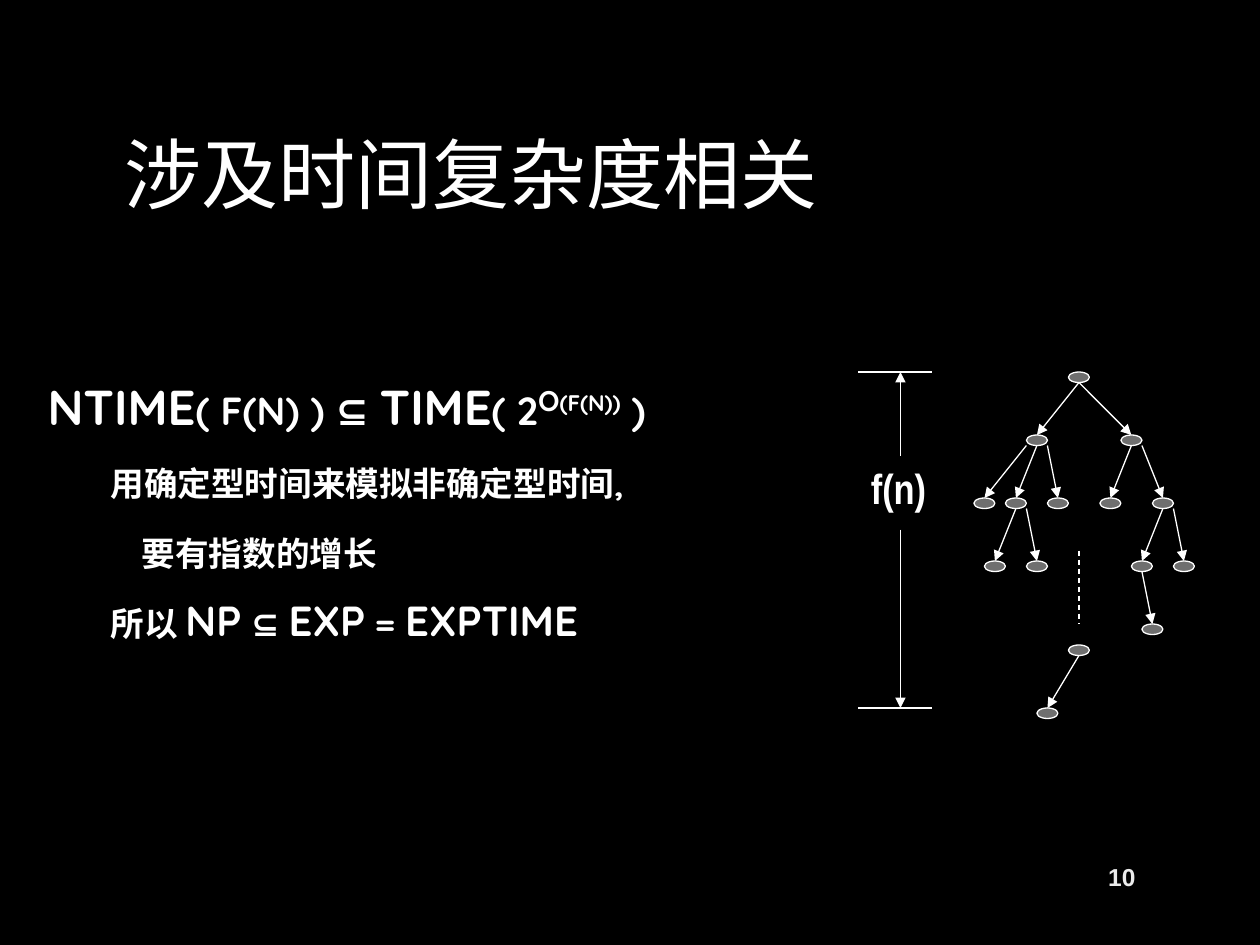
from lxml.etree import SubElement
from pptx import Presentation
from pptx.dml.color import RGBColor
from pptx.enum.dml import MSO_LINE
from pptx.enum.shapes import MSO_CONNECTOR, MSO_SHAPE
from pptx.enum.text import MSO_ANCHOR, PP_ALIGN
from pptx.oxml.ns import qn
from pptx.util import Cm, Pt

COLORS = {"background": "000000", "text": "FFFFFF", "line": "FFFFFF",
          "node": "6F6F6F", "number": "EBEBEB"}

# The tree lies on a grid of 1/12 inch, counted from the top of its root.
STEP = 2.54 / 12
ROOT_X, ROOT_Y = 21.75, 7.5

# (column, row) of each node
NODES = [(0, 0), (-4, 6), (5, 6),
         (-9, 12), (-6, 12), (-2, 12), (3, 12), (8, 12),
         (-8, 18), (-4, 18), (6, 18), (10, 18), (7, 24),
         (0, 26), (-3, 32)]
# (parent, child, columns from the parent's middle where the arrow starts)
BRANCHES = [((0, 0), (-4, 6), 0), ((0, 0), (5, 6), 0),
            ((-4, 6), (-9, 12), -1), ((-4, 6), (-6, 12), 0), ((-4, 6), (-2, 12), 1),
            ((5, 6), (3, 12), 0), ((5, 6), (8, 12), 1),
            ((-6, 12), (-8, 18), 0), ((-6, 12), (-4, 18), 1),
            ((8, 12), (6, 18), 0), ((8, 12), (10, 18), 1),
            ((6, 18), (7, 24), 0), ((0, 26), (-3, 32), 0)]


def grid(column, row):
    """Turn grid steps into a point on the slide in centimetres."""
    return ROOT_X + column * STEP, ROOT_Y + row * STEP


class SlideWriter:
    def __init__(self, slide):
        self.slide = slide
        self.line_width = Pt(0.75)
        background = slide.background.fill
        background.solid()
        background.fore_color.rgb = self.color("background")

    def color(self, name):
        return RGBColor.from_string(COLORS[name])

    def text(self, left, top, width, height, lines, size, font="Quicksand",
             color="text", bold=True, align=PP_ALIGN.LEFT):
        box = self.slide.shapes.add_textbox(Cm(left), Cm(top), Cm(width), Cm(height))
        frame = box.text_frame
        frame.word_wrap = True
        frame.vertical_anchor = MSO_ANCHOR.MIDDLE
        frame.text = "\n".join(lines)
        for paragraph in frame.paragraphs:
            paragraph.alignment = align
            for run in paragraph.runs:
                self.format_run(run, size, font, color, bold)
        return frame

    def format_run(self, run, size, font="Quicksand", color="text", bold=True):
        run.font.size = Pt(size)
        run.font.name = font
        run.font.bold = bold
        run.font.color.rgb = self.color(color)

    def node(self, column, row):
        x, y = grid(column, row)
        oval = self.slide.shapes.add_shape(
            MSO_SHAPE.OVAL, Cm(x - STEP), Cm(y), Cm(2 * STEP), Cm(STEP))
        oval.shadow.inherit = False
        oval.fill.solid()
        oval.fill.fore_color.rgb = self.color("node")
        oval.line.color.rgb = self.color("line")
        oval.line.width = self.line_width
        return oval

    def line(self, start, end, arrow=False, dashed=False):
        points = [Cm(value) for value in (*grid(*start), *grid(*end))]
        connector = self.slide.shapes.add_connector(MSO_CONNECTOR.STRAIGHT, *points)
        connector.line.color.rgb = self.color("line")
        connector.line.width = self.line_width
        if dashed:
            connector.line.dash_style = MSO_LINE.DASH
        if arrow:
            SubElement(connector.line._get_or_add_ln(), qn("a:tailEnd"), type="triangle")
        SubElement(connector._element.spPr, qn("a:effectLst"))
        return connector


def add_theorem(writer):
    body = writer.text(0.71, 3.73, 21.59, 13.13,
                       ["NTIME( f(n) ) ⊆ TIME( 2", "用确定型时间来模拟非确定型时间,",
                        "要有指数的增长", "所以 NP ⊆ EXP = EXPTIME"], 24)
    formula = body.paragraphs[0]
    for part in ("O(f(n))", " )"):
        formula.add_run().text = part
    for run in formula.runs:
        writer.format_run(run, 28)
    formula.runs[1]._r.get_or_add_rPr().set("baseline", "30000")

    for paragraph, indent in zip(body.paragraphs, (0, 1.27, 1.9, 1.27)):
        paragraph.space_before = Pt(5)
        paragraph.space_after = Pt(6)
        properties = paragraph._p.get_or_add_pPr()
        properties.set("marL", str(Cm(indent)))
        properties.set("indent", "0")
        for run in paragraph.runs:
            run._r.get_or_add_rPr().set("cap", "small")


def add_tree(writer):
    ovals = {place: writer.node(*place) for place in NODES}
    for (column, row), child, offset in BRANCHES:
        branch = writer.line((column + offset, row + 1), child, arrow=True)
        branch.end_connect(ovals[child], 0)
    writer.line((0, 17), (0, 24), dashed=True)


def add_depth_measure(writer):
    for limit, gap in ((0, 8), (32, 15)):
        writer.line((-21, limit), (-14, limit))
        writer.line((-17, gap), (-17, limit), arrow=True)
    writer.text(*grid(-21, 8), 8 * STEP, 6 * STEP, ["f(n)"], 24, font="Arial Narrow")


def main():
    presentation = Presentation()
    presentation.slide_width, presentation.slide_height = Cm(25.4), Cm(19.05)
    writer = SlideWriter(presentation.slides.add_slide(presentation.slide_layouts[6]))
    writer.text(2.26, 1.65, 20.85, 3.66, ["涉及时间复杂度相关"], 44, bold=False)
    add_theorem(writer)
    writer.text(22, 17.17, 1.14, 1.02, ["10"], 14, font="Arial",
                color="number", align=PP_ALIGN.RIGHT)
    add_tree(writer)
    add_depth_measure(writer)
    presentation.save("out.pptx")


if __name__ == "__main__":
    main()
